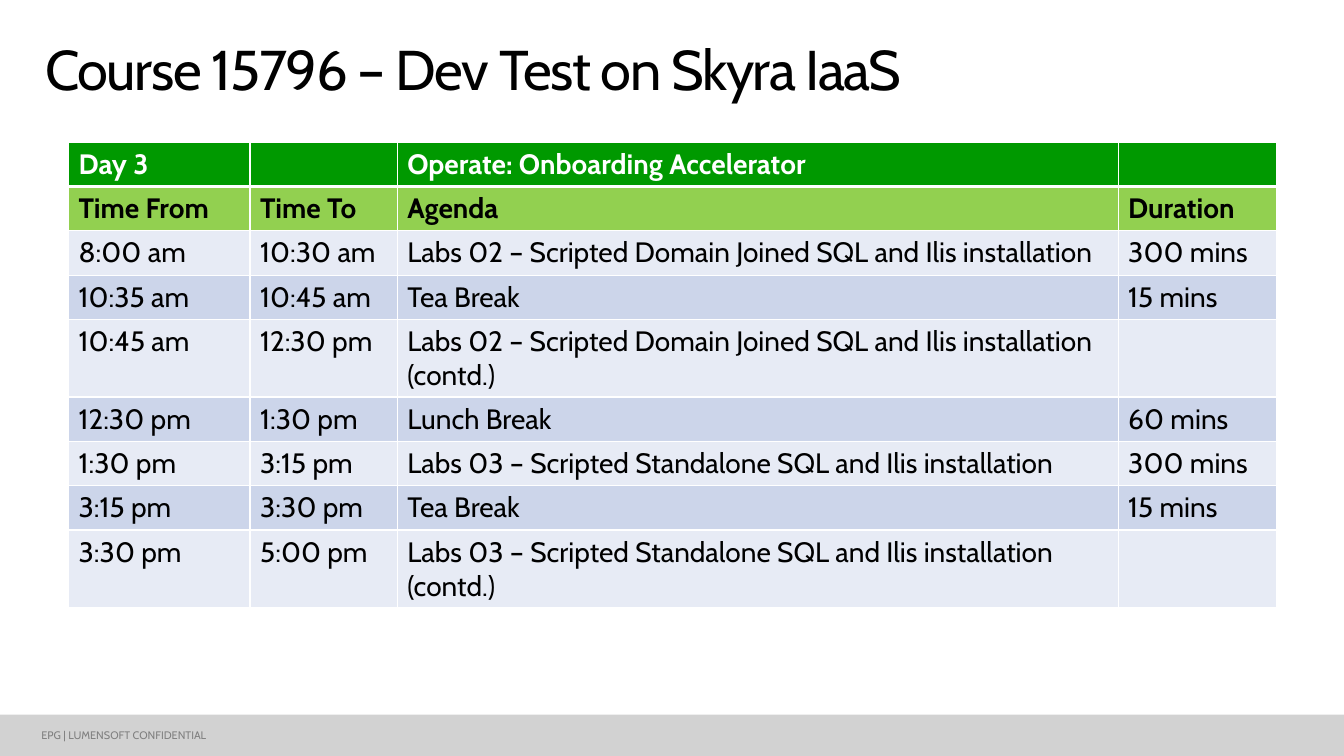
import dataclasses

import pptx
import pptx.dml.color
import pptx.enum.shapes
import pptx.enum.text
import pptx.oxml
import pptx.oxml.ns
import pptx.util

SCALE = 9144  # EMU in one px, 100 px to the inch


@dataclasses.dataclass(frozen=True)
class Theme:
    font: str = "Cabin"
    black: str = "000000"
    white: str = "FFFFFF"
    grey: str = "808080"
    strip: str = "D2D2D2"
    green: str = "009900"
    lime: str = "92D050"
    bands: tuple = ("E7EBF5", "CCD5EA")
    title: float = 40
    body: float = 20
    foot: float = 7.8


def px(num):
    return pptx.util.Emu(num * SCALE)


def rgb(code):
    return pptx.dml.color.RGBColor.from_string(code)


class Deck:
    def __init__(self, theme):
        self.theme = theme
        self.file = pptx.Presentation()
        self.file.slide_width = px(1333)
        self.file.slide_height = px(750)
        self.slide = self.file.slides.add_slide(self.file.slide_layouts[6])

    def style(self, para, size, color, bold=False):
        for run in para.runs:
            run.font.name = self.theme.font
            run.font.size = pptx.util.Pt(size)
            run.font.bold = bold
            run.font.color.rgb = rgb(color)

    def bar(self, box, color):
        kind = pptx.enum.shapes.MSO_SHAPE.RECTANGLE
        shape = self.slide.shapes.add_shape(kind, *map(px, box))
        shape.shadow.inherit = False
        shape.fill.solid()
        shape.fill.fore_color.rgb = rgb(color)
        shape.line.fill.background()

    def text(self, box, words, size, color, inset, middle=False):
        """Add a text box; inset is left, top, right, bottom. Return its paragraph."""
        frame = self.slide.shapes.add_textbox(*map(px, box)).text_frame
        frame.word_wrap = True
        (frame.margin_left, frame.margin_top,
         frame.margin_right, frame.margin_bottom) = map(px, inset)
        if middle:
            frame.vertical_anchor = pptx.enum.text.MSO_ANCHOR.MIDDLE
        frame.text = words
        para = frame.paragraphs[0]
        self.style(para, size, color)
        return para

    def edge(self, cell, side, width):
        """Draw one white cell border; side is L, R, T or B."""
        space = pptx.oxml.ns.nsdecls("a")
        line = pptx.oxml.parse_xml(
            f'<a:ln{side} {space} w="{pptx.util.Pt(width)}"><a:solidFill>'
            f'<a:srgbClr val="{self.theme.white}"/></a:solidFill></a:ln{side}>')
        cell._tc.get_or_add_tcPr().append(line)

    def cell(self, cell, words, fill, color, bold, base):
        for side, width in zip("LRTB", (1, 1, 1, base)):
            self.edge(cell, side, width)
        cell.fill.solid()
        cell.fill.fore_color.rgb = rgb(fill)
        cell.margin_left = cell.margin_right = px(10)
        cell.margin_top = cell.margin_bottom = px(5)
        cell.text_frame.text = words
        self.style(cell.text_frame.paragraphs[0], self.theme.body, color, bold)

    def table(self, box, cols, rows, data):
        theme = self.theme
        grid = self.slide.shapes.add_table(len(rows), len(cols), *map(px, box)).table
        for col, width in zip(grid.columns, cols):
            col.width = px(width)
        for row, height in zip(grid.rows, rows):
            row.height = px(height)
        for i, line in enumerate(data):
            fill = (theme.green, theme.lime)[i] if i < 2 else theme.bands[i % 2]
            color = theme.white if i == 0 else theme.black
            base = 3 if i == 0 else 1
            for j, words in enumerate(line):
                self.cell(grid.cell(i, j), words, fill, color, i < 2, base)


AGENDA = [
    ("Day 3", "", "Operate: Onboarding Accelerator", ""),
    ("Time From", "Time To", "Agenda", "Duration"),
    ("8:00 am", "10:30 am", "Labs 02 – Scripted Domain Joined SQL and Ilis installation", "300 mins"),
    ("10:35 am", "10:45 am", "Tea Break", "15 mins"),
    ("10:45 am", "12:30 pm", "Labs 02 – Scripted Domain Joined SQL and Ilis installation (contd.)", ""),
    ("12:30 pm", "1:30 pm", "Lunch Break", "60 mins"),
    ("1:30 pm", "3:15 pm", "Labs 03 – Scripted Standalone SQL and Ilis installation", "300 mins"),
    ("3:15 pm", "3:30 pm", "Tea Break", "15 mins"),
    ("3:30 pm", "5:00 pm", "Labs 03 – Scripted Standalone SQL and Ilis installation (contd.)", ""),
]


def main():
    theme = Theme()
    deck = Deck(theme)
    deck.bar((0, 709, 1333, 41), theme.strip)
    deck.text((0, 709, 250, 41), "EPG | LUMENSOFT CONFIDENTIAL",
              theme.foot, theme.grey, (41, 4, 8, 4), middle=True)
    title = deck.text((29, 32, 1275, 98), "Course 15796 – Dev Test on Skyra IaaS",
                      theme.title, theme.black, (16, 10, 16, 10))
    title.line_spacing = 0.9
    title.runs[0].font._element.set("spc", "-100")
    rows = [77 if "(contd.)" in line[2] else 44 for line in AGENDA]
    cols = (180, 146, 715, 157)
    deck.table((68, 141, sum(cols), sum(rows)), cols, rows, AGENDA)
    deck.file.save("out.pptx")


if __name__ == "__main__":
    main()
